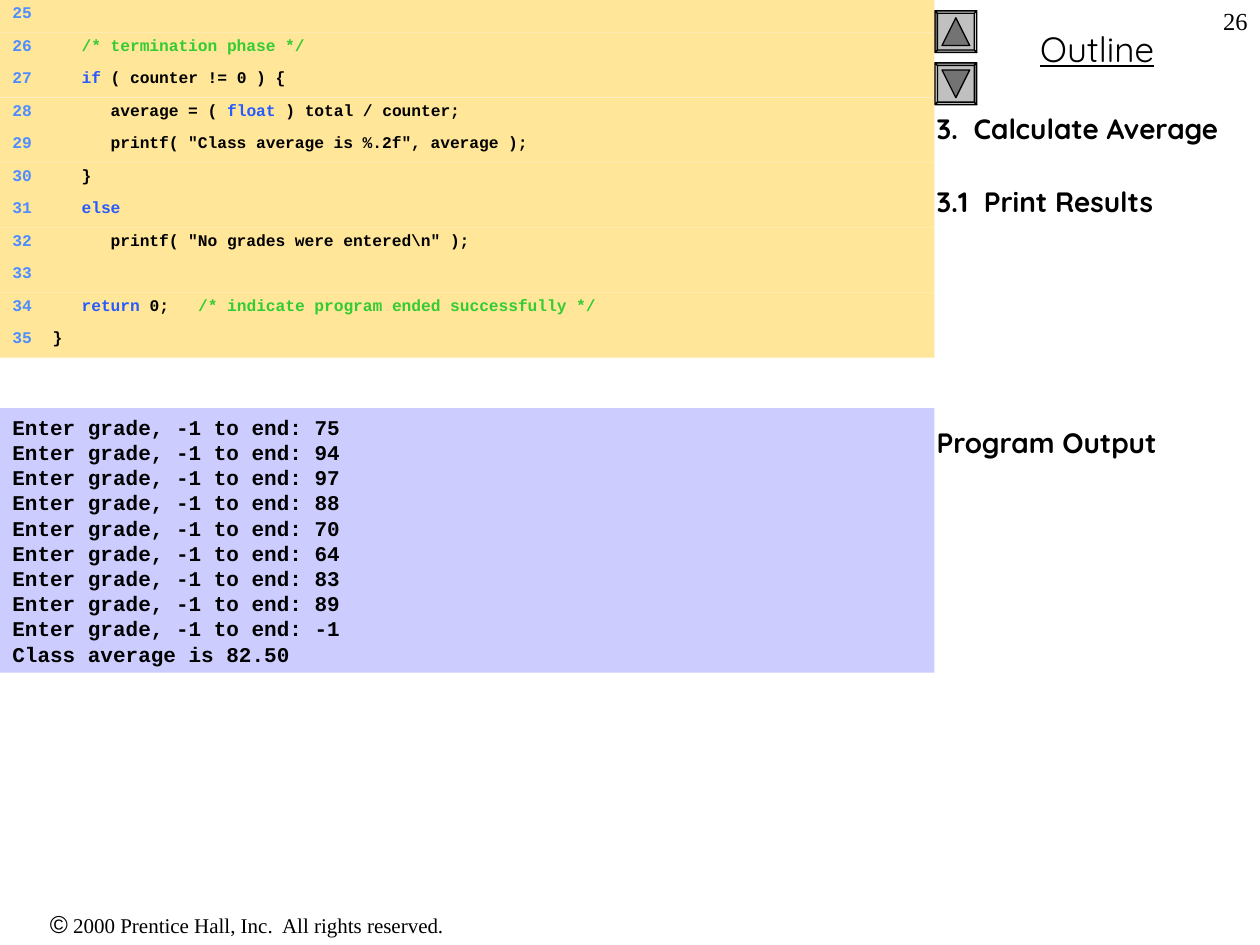
"""Build the code listing slide with its outline column and program output."""
from dataclasses import dataclass

from lxml import etree
from pptx import Presentation
from pptx.dml.color import RGBColor
from pptx.enum.shapes import MSO_SHAPE
from pptx.enum.text import MSO_ANCHOR, PP_ALIGN
from pptx.oxml.ns import qn
from pptx.util import Cm, Length, Pt

RECTANGLE = MSO_SHAPE.RECTANGLE
TOP = MSO_ANCHOR.TOP
LEFT, CENTER, RIGHT = PP_ALIGN.LEFT, PP_ALIGN.CENTER, PP_ALIGN.RIGHT

BLACK = RGBColor(0x00, 0x00, 0x00)
CODE_FILL = RGBColor(0xFF, 0xE6, 0x99)
OUTPUT_FILL = RGBColor(0xCC, 0xCC, 0xFF)
NUMBER = RGBColor(0x4D, 0x8D, 0xFF)
KEYWORD = RGBColor(0x27, 0x5A, 0xFF)
COMMENT = RGBColor(0x33, 0xCC, 0x33)
FACE = RGBColor(0xC0, 0xC0, 0xC0)
LIGHT = RGBColor(0xCC, 0xCC, 0xCC)
LIGHTER = RGBColor(0xD9, 0xD9, 0xD9)
DARK = RGBColor(0x9A, 0x9A, 0x9A)
DARKER = RGBColor(0x73, 0x73, 0x73)

MONO, SANS, SERIF, ROUNDED = "Courier New", "Arial", "Times New Roman", "Quicksand"
PANEL_WIDTH = Cm(18.84)
CODE_HEIGHT = Cm(7.21)
CODE_TABS = ((Cm(0), "l"), (Cm(0.38), "r"), (Cm(0.81), "l"))
FIRST_LINE = 25


@dataclass(frozen=True)
class Span:
    text: str
    color: RGBColor = BLACK


@dataclass(frozen=True)
class Label:
    text: str
    left: Length
    top: Length
    width: Length
    height: Length
    size: int
    font: str
    align: PP_ALIGN
    underline: bool = False


@dataclass(frozen=True)
class Topic:
    text: str
    gap: Length


@dataclass(frozen=True)
class Facet:
    color: RGBColor
    points: tuple


CODE = (
    (),
    (Span("   /* termination phase */", COMMENT),),
    (Span("   if", KEYWORD), Span(" ( counter != 0 ) {")),
    (Span("      average = ( "), Span("float", KEYWORD), Span(" ) total / counter;")),
    (Span('      printf( "Class average is %.2f", average );'),),
    (Span("   }"),),
    (Span("   else", KEYWORD),),
    (Span('      printf( "No grades were entered\\n" );'),),
    (),
    (Span("   return", KEYWORD), Span(" 0;   "),
     Span("/* indicate program ended successfully */", COMMENT)),
    (Span("}"),),
)
GRADES = (75, 94, 97, 88, 70, 64, 83, 89, -1)
OUTPUT = [f"Enter grade, -1 to end: {grade}" for grade in GRADES] + ["Class average is 82.50"]
LABELS = (
    Label("Outline", Cm(18.84), Cm(0.43), Cm(6.56), Cm(1.12), 20, ROUNDED, CENTER, True),
    Label("26", Cm(20.11), Cm(0), Cm(5.29), Cm(1.27), 14, SERIF, RIGHT),
)
TOPICS = (
    Topic("3.  Calculate Average", Pt(0)),
    Topic("3.1  Print Results", Pt(22.4)),
    Topic("Program Output", Pt(119)),
)
OUTER, INNER, TIP = 0.42, 0.37, 0.28
FACETS = (
    Facet(FACE, ((OUTER, -OUTER), (OUTER, OUTER), (-OUTER, OUTER), (-OUTER, -OUTER))),
    Facet(LIGHT, ((OUTER, -OUTER), (OUTER, OUTER), (INNER, INNER), (INNER, -INNER))),
    Facet(DARK, ((OUTER, OUTER), (-OUTER, OUTER), (-INNER, INNER), (INNER, INNER))),
    Facet(DARKER, ((-OUTER, OUTER), (-OUTER, -OUTER), (-INNER, -INNER), (-INNER, INNER))),
    Facet(LIGHTER, ((-OUTER, -OUTER), (OUTER, -OUTER), (INNER, -INNER), (-INNER, -INNER))),
    Facet(DARKER, ((0, -TIP), (TIP, TIP), (-TIP, TIP))),
)


def style(font, size: float, name: str, bold: bool = False) -> None:
    font.size, font.name, font.bold = Pt(size), name, bold
    font.color.rgb = BLACK


def add_tabs(para, stops: tuple) -> None:
    tabs = etree.SubElement(para._p.get_or_add_pPr(), qn("a:tabLst"))
    for position, align in stops:
        etree.SubElement(tabs, qn("a:tab"), pos=str(position), algn=align)


def add_panel(page, top: Length, height: Length, fill: RGBColor):
    panel = page.shapes.add_shape(RECTANGLE, Cm(0), top, PANEL_WIDTH, height)
    panel.shadow.inherit = False
    panel.fill.solid()
    panel.fill.fore_color.rgb = fill
    panel.line.fill.background()
    panel.text_frame.word_wrap = True
    panel.text_frame.vertical_anchor = TOP
    return panel.text_frame


def add_text_frame(page, left: Length, top: Length, width: Length, height: Length):
    frame = page.shapes.add_textbox(left, top, width, height).text_frame
    frame.word_wrap = True
    return frame


def next_para(frame, index: int):
    return frame.add_paragraph() if index else frame.paragraphs[0]


def add_code(page) -> None:
    for row, spans in enumerate(CODE):
        top = CODE_HEIGHT * row // len(CODE)
        para = add_panel(page, top, CODE_HEIGHT // len(CODE), CODE_FILL).paragraphs[0]
        add_tabs(para, CODE_TABS)
        para.alignment, para.line_spacing = LEFT, 0.8
        style(para.font, 9.3, MONO, True)
        for span in (Span(f"\t{FIRST_LINE + row}\t", NUMBER), *spans):
            run = para.add_run()
            run.text = span.text
            run.font.color.rgb = span.color


def add_output(page) -> None:
    frame = add_panel(page, Cm(8.23), Cm(5.33), OUTPUT_FILL)
    for index, line in enumerate(OUTPUT):
        para = next_para(frame, index)
        para.text = line
        para.alignment, para.line_spacing = LEFT, Pt(14.4)
        style(para.font, 12, MONO, True)


def add_label(page, label: Label) -> None:
    frame = add_text_frame(page, label.left, label.top, label.width, label.height)
    para = frame.paragraphs[0]
    para.text, para.alignment = label.text, label.align
    style(para.font, label.size, label.font)
    para.font.underline = label.underline


def add_topics(page) -> None:
    frame = add_text_frame(page, Cm(18.63), Cm(2.12), Cm(6.77), Cm(16.93))
    for index, topic in enumerate(TOPICS):
        para = next_para(frame, index)
        para.text, para.space_before = topic.text, topic.gap
        style(para.font, 16, ROUNDED, True)


def add_copyright(page) -> None:
    para = add_text_frame(page, Cm(0), Cm(18.21), Cm(9.96), Cm(0.86)).paragraphs[0]
    para.alignment = CENTER
    for text, size, name in (("©", 14, SANS),
                             (" 2000 Prentice Hall, Inc.  All rights reserved.", 12, SERIF)):
        run = para.add_run()
        run.text = text
        style(run.font, size, name)


def add_button(page, center_y: float, direction: int) -> None:
    center_x = 19.27
    for facet in FACETS:
        points = [(Cm(center_x + direction * x), Cm(center_y + direction * y))
                  for x, y in facet.points]
        builder = page.shapes.build_freeform(*points[0])
        builder.add_line_segments(points[1:], close=True)
        shape = builder.convert_to_shape()
        shape.shadow.inherit = False
        shape.fill.solid()
        shape.fill.fore_color.rgb = facet.color
        shape.line.color.rgb = BLACK
        shape.line.width = Pt(0.75)


def main() -> None:
    deck = Presentation()
    deck.slide_width, deck.slide_height = Cm(25.4), Cm(19.05)
    page = deck.slides.add_slide(deck.slide_layouts[6])
    add_copyright(page)
    add_button(page, 0.64, 1)
    add_button(page, 1.69, -1)
    for label in LABELS:
        add_label(page, label)
    add_topics(page)
    add_code(page)
    add_output(page)
    deck.save("out.pptx")


if __name__ == "__main__":
    main()
